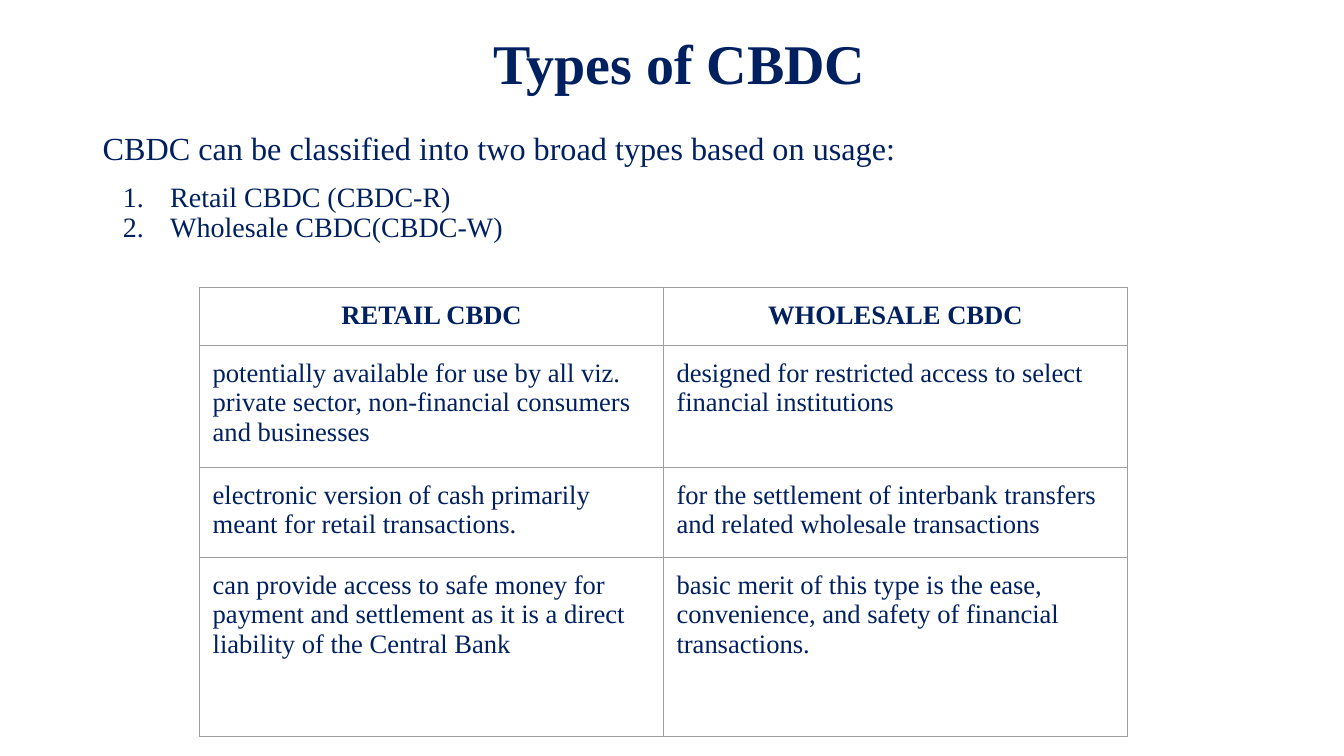
from lxml.etree import SubElement
from pptx import Presentation
from pptx.dml.color import RGBColor
from pptx.enum.text import MSO_ANCHOR, PP_ALIGN
from pptx.oxml.ns import qn
from pptx.util import Inches, Pt

NAVY = RGBColor(0x00, 0x20, 0x60)
GREY = RGBColor(0x9E, 0x9E, 0x9E)
WHITE = RGBColor(0xFF, 0xFF, 0xFF)
FONT = "Times New Roman"

TITLE = "Types of CBDC"
INTRO = "CBDC can be classified into two broad types based on usage:"
TYPES = ["Retail CBDC (CBDC-R)", "Wholesale CBDC(CBDC-W)"]
COMPARISON = [
    ("RETAIL CBDC", "WHOLESALE CBDC"),
    ("potentially available for use by all viz. private sector, "
     "non-financial consumers and businesses",
     "designed for restricted access to select financial institutions"),
    ("electronic version of cash primarily meant for retail transactions.",
     "for the settlement of interbank transfers and related wholesale transactions"),
    ("can provide access to safe money for payment and settlement "
     "as it is a direct liability of the Central Bank",
     "basic merit of this type is the ease, convenience, and safety "
     "of financial transactions."),
]

SLIDE_W, SLIDE_H = 13.33, 7.5
TITLE_BOX = (0.99, -0.19, 11.5, 1.7)
BODY_BOX = (0.92, 1.27, 11.5, 3.33)
TABLE_LEFT, TABLE_TOP = 1.98, 2.85
COL_W = 4.6
ROW_H = [0.56, 1.17, 0.87, 1.78]
CELL_MARGIN = 0.13
INDENT, HANGING = 0.67, 0.47


def write(p, text, size, bold=False, **layout):
    """Fill a paragraph with one run; layout holds paragraph attributes."""
    for name, value in layout.items():
        setattr(p, name, value)
    r = p.add_run()
    r.text = text
    for name, value in dict(name=FONT, size=Pt(size), bold=bold).items():
        setattr(r.font, name, value)
    r.font.color.rgb = NAVY


def add_box(slide, box, anchor):
    tf = slide.shapes.add_textbox(*map(Inches, box)).text_frame
    tf.word_wrap = True
    tf.vertical_anchor = anchor
    return tf


def add_color(parent, tag, color):
    SubElement(SubElement(parent, qn(tag)), qn("a:srgbClr"), val=str(color))


def number(p):
    pPr = p._p.get_or_add_pPr()
    pPr.set("marL", str(Inches(INDENT)))
    pPr.set("indent", str(-Inches(HANGING)))
    add_color(pPr, "a:buClr", NAVY)
    SubElement(pPr, qn("a:buFont"), typeface=FONT)
    SubElement(pPr, qn("a:buAutoNum"), type="arabicPeriod")


def style_cell(cell):
    for side in ("left", "right", "top", "bottom"):
        setattr(cell, f"margin_{side}", Inches(CELL_MARGIN))
    tcPr = cell._tc.get_or_add_tcPr()
    for edge in "LRTB":
        ln = SubElement(tcPr, qn(f"a:ln{edge}"), w=str(Pt(0.75)))
        add_color(ln, "a:solidFill", GREY)
    cell.fill.solid()
    cell.fill.fore_color.rgb = WHITE


def add_comparison(slide):
    rows, cols = len(COMPARISON), len(COMPARISON[0])
    table = slide.shapes.add_table(
        rows, cols, Inches(TABLE_LEFT), Inches(TABLE_TOP),
        Inches(COL_W * cols), Inches(sum(ROW_H))).table
    table.horz_banding = False
    for col in table.columns:
        col.width = Inches(COL_W)
    for i, texts in enumerate(COMPARISON):
        table.rows[i].height = Inches(ROW_H[i])
        header = i == 0
        align = PP_ALIGN.CENTER if header else PP_ALIGN.LEFT
        for j, text in enumerate(texts):
            cell = table.cell(i, j)
            style_cell(cell)
            write(cell.text_frame.paragraphs[0], text, 19, header, alignment=align)


def main():
    prs = Presentation()
    prs.slide_width, prs.slide_height = Inches(SLIDE_W), Inches(SLIDE_H)
    slide = prs.slides.add_slide(prs.slide_layouts[6])

    tf = add_box(slide, TITLE_BOX, MSO_ANCHOR.MIDDLE)
    write(tf.paragraphs[0], TITLE, 40, True,
          alignment=PP_ALIGN.CENTER, line_spacing=0.9)

    tf = add_box(slide, BODY_BOX, MSO_ANCHOR.TOP)
    write(tf.paragraphs[0], INTRO, 23, line_spacing=0.9, space_before=Pt(11))
    for i, text in enumerate(TYPES):
        p = tf.add_paragraph()
        write(p, text, 20, line_spacing=0.9, space_before=Pt(0 if i else 11))
        number(p)

    add_comparison(slide)
    prs.save("out.pptx")


if __name__ == "__main__":
    main()
